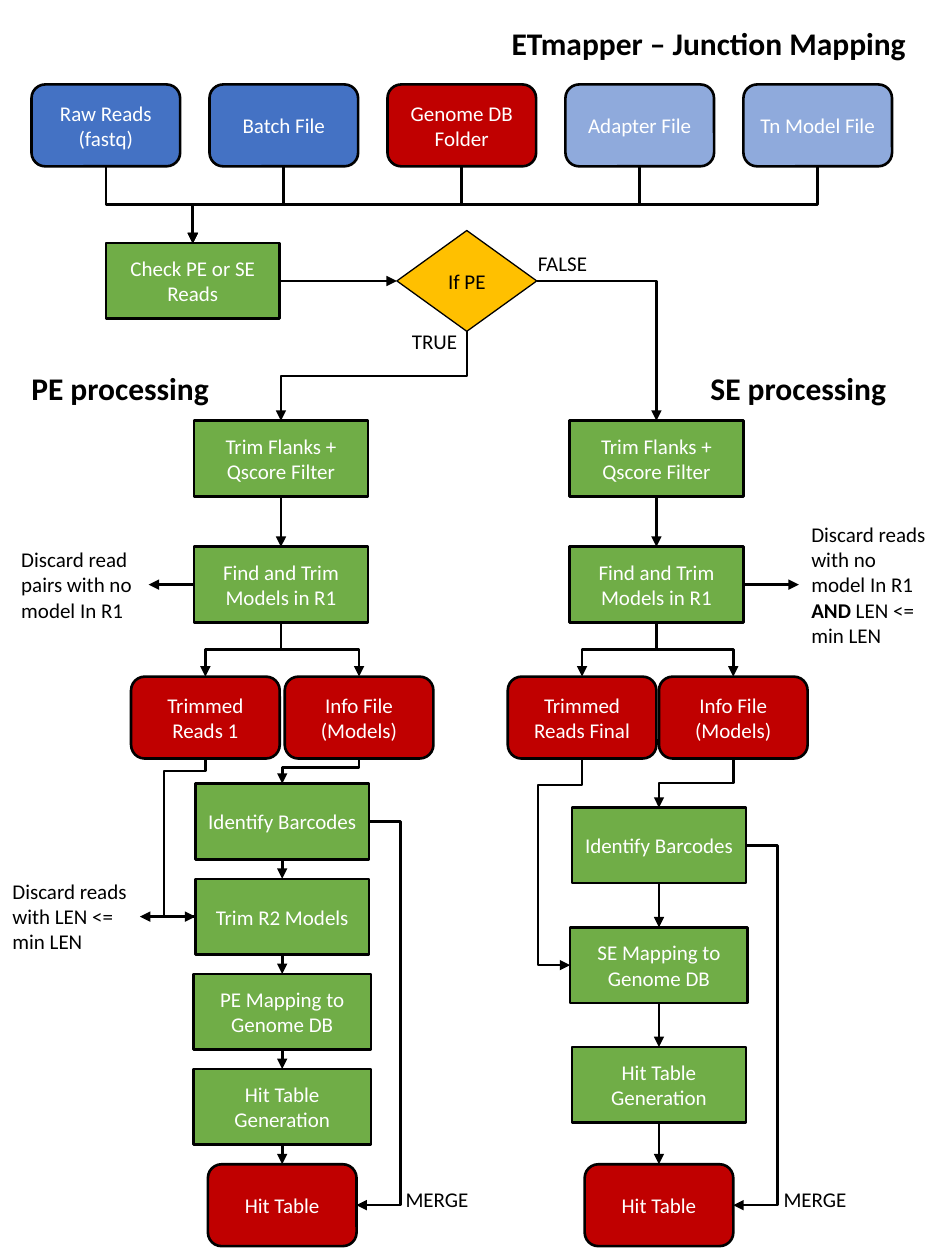
from lxml import etree
from pptx import Presentation
from pptx import util as u
from pptx.dml.color import RGBColor
from pptx.enum import shapes, text
from pptx.oxml.ns import qn

BLACK = RGBColor(0x00, 0x00, 0x00)
WHITE = RGBColor(0xFF, 0xFF, 0xFF)
BLUE = RGBColor(0x44, 0x72, 0xC4)
PALE_BLUE = RGBColor(0x8F, 0xAA, 0xDC)
RED = RGBColor(0xC0, 0x00, 0x00)
GREEN = RGBColor(0x70, 0xAD, 0x47)
AMBER = RGBColor(0xFF, 0xC0, 0x00)

FONT = "Calibri"
FILE = shapes.MSO_SHAPE.ROUNDED_RECTANGLE
STEP = shapes.MSO_SHAPE.RECTANGLE
CHOICE = shapes.MSO_SHAPE.DIAMOND
SIZES = {FILE: (1.18, 0.65), STEP: (1.38, 0.6), CHOICE: (1.11, 0.8)}
WIDE = 1.41

# Column centres and shared row tops, in inches
PE, PE_LOW, SE, SE_LOW = 2.23, 2.24, 5.21, 5.23
INPUT_ROW, TRIM_ROW, FIND_ROW, OUTPUT_ROW, HIT_ROW = 0.67, 3.34, 4.34, 5.37, 9.24
INPUT_LEFT, INPUT_PITCH = 0.84, 1.4125
PE_LOW_TOP, PE_LOW_PITCH = 6.22, 0.755
SE_LOW_TOP, SE_LOW_PITCH = 6.41, 0.95

presentation = Presentation()
presentation.slide_width = u.Inches(7.5)
presentation.slide_height = u.Inches(10)
slide = presentation.slides.add_slide(presentation.slide_layouts[5])
ports = {}


def add_ports(name, left, top, width, height):
    """Record the middle of each side of a box, in inches."""
    middle, centre = top + height / 2, left + width / 2
    ports[name, "left"] = (left, middle)
    ports[name, "right"] = (left + width, middle)
    ports[name, "top"] = (centre, top)
    ports[name, "bottom"] = (centre, top + height)


def add_arrow(start, end, *bends):
    """Join two ports, turning at the given positions or else halfway."""
    (x1, y1), (x2, y2) = ports[start], ports[end]
    width, height = x2 - x1, y2 - y1
    straight = min(abs(width), abs(height)) < 0.03
    downward = start[1] == "bottom" and not straight
    if straight:
        if abs(width) < abs(height):
            x2 = x1
        else:
            y2 = y1
    if downward:
        # A path that leaves downward is a sideways elbow turned by 90 degrees
        x, y = (x1 + x2) / 2, (y1 + y2) / 2
        x1, x2 = x - height / 2, x + height / 2
        y1, y2 = y + width / 2, y - width / 2
        if not bends:
            bends = (y,)
    kind = shapes.MSO_CONNECTOR.STRAIGHT if straight else shapes.MSO_CONNECTOR.ELBOW
    connector = slide.shapes.add_connector(kind, *map(u.Inches, (x1, y1, x2, y2)))
    connector.line.color.rgb = BLACK
    connector.line.width = u.Pt(1.5)
    properties = connector.element.spPr
    etree.SubElement(properties.find(qn("a:ln")), qn("a:tailEnd"), type="triangle")
    etree.SubElement(properties, qn("a:effectLst"))
    if straight:
        return
    if downward:
        properties.find(qn("a:xfrm")).set("rot", "5400000")
    geometry = properties.find(qn("a:prstGeom"))
    geometry.set("prst", f"bentConnector{len(bends) + 2}")
    adjustments = geometry.get_or_add_avLst()
    for index, bend in enumerate(bends):
        axis = (index + downward) % 2
        share = (bend - ports[start][axis]) / (width, height)[axis]
        etree.SubElement(adjustments, qn("a:gd"), name=f"adj{index + 1}",
                         fmla=f"val {round(share * 100000)}")


# Boxes: name, wording, outline, fill, centre, top, optional width
boxes = [
    ("check", "Check PE or SE Reads", STEP, GREEN, 1.53, 1.93),
    ("choice", "If PE", CHOICE, AMBER, 3.705, 1.83),
    ("PE reads", "Trimmed Reads 1", FILE, RED, 1.63, OUTPUT_ROW),
    ("PE info", "Info File (Models)", FILE, RED, 2.85, OUTPUT_ROW),
    ("SE reads", "Trimmed Reads Final", FILE, RED, 4.62, OUTPUT_ROW),
    ("SE info", "Info File (Models)", FILE, RED, 5.82, OUTPUT_ROW),
    ("PE barcodes", "Identify Barcodes", STEP, GREEN, PE_LOW, PE_LOW_TOP),
    ("PE models", "Trim R2 Models", STEP, GREEN, PE_LOW, PE_LOW_TOP + PE_LOW_PITCH),
    ("PE mapping", "PE Mapping to Genome DB", STEP, GREEN, PE_LOW,
     PE_LOW_TOP + 2 * PE_LOW_PITCH, WIDE),
    ("PE table", "Hit Table Generation", STEP, GREEN, PE_LOW,
     PE_LOW_TOP + 3 * PE_LOW_PITCH, WIDE),
    ("SE barcodes", "Identify Barcodes", STEP, GREEN, SE_LOW, SE_LOW_TOP),
    ("SE mapping", "SE Mapping to Genome DB", STEP, GREEN, SE_LOW,
     SE_LOW_TOP + SE_LOW_PITCH, WIDE),
    ("SE table", "Hit Table Generation", STEP, GREEN, SE_LOW,
     SE_LOW_TOP + 2 * SE_LOW_PITCH),
]
inputs = [("Raw Reads (fastq)", BLUE), ("Batch File", BLUE), ("Genome DB Folder", RED),
          ("Adapter File", PALE_BLUE), ("Tn Model File", PALE_BLUE)]
for column, (wording, fill) in enumerate(inputs):
    boxes.append((wording, wording, FILE, fill,
                  INPUT_LEFT + column * INPUT_PITCH, INPUT_ROW))
for lane, centre, low_centre in (("PE", PE, PE_LOW), ("SE", SE, SE_LOW)):
    boxes += [
        (f"{lane} trim", "Trim Flanks + Qscore Filter", STEP, GREEN, centre, TRIM_ROW),
        (f"{lane} find", "Find and Trim Models in R1", STEP, GREEN, centre, FIND_ROW),
        (f"{lane} hits", "Hit Table", FILE, RED, low_centre, HIT_ROW),
    ]

for name, wording, outline, fill, centre, top, *custom_width in boxes:
    width, height = SIZES[outline]
    width = custom_width[0] if custom_width else width
    area = (centre - width / 2, top, width, height)
    add_ports(name, *area)
    shape = slide.shapes.add_shape(outline, *map(u.Inches, area))
    shape.shadow.inherit = False
    shape.fill.solid()
    shape.fill.fore_color.rgb = fill
    shape.line.color.rgb = BLACK
    shape.line.width = u.Pt(0 if outline == CHOICE else 1.5)
    shape.text_frame.text = wording
    shape.text_frame.vertical_anchor = text.MSO_ANCHOR.MIDDLE
    paragraph = shape.text_frame.paragraphs[0]
    paragraph.alignment = text.PP_ALIGN.CENTER
    paragraph.font.name = FONT
    paragraph.font.size = u.Pt(12)
    paragraph.font.color.rgb = BLACK if outline == CHOICE else WHITE

# Labels: wording with bold parts between bars, area, size, wrapping
labels = [
    ("title", "|ETmapper – Junction Mapping", (3.96, 0.14, 3.36, 0.4), 18, False),
    ("PE heading", "|PE processing", (0.15, 2.88, 1.62, 0.4), 18, False),
    ("SE heading", "|SE processing", (5.54, 2.88, 1.6, 0.4), 18, False),
    ("true", "TRUE", (3.17, 2.56, 0.57, 0.3), 12, False),
    ("false", "FALSE", (4.17, 1.94, 0.6, 0.3), 12, False),
    ("PE merge", "MERGE", (3.12, 9.37, 0.71, 0.3), 12, False),
    ("SE merge", "MERGE", (6.12, 9.37, 0.71, 0.3), 12, False),
    ("PE discard", "Discard read pairs with no model In R1",
     (0.07, 4.29, 1.11, 0.71), 12, True),
    ("SE discard", "Discard reads with no model In R1 |AND| LEN <= min LEN",
     (6.34, 4.09, 1.11, 1.11), 12, True),
    ("short discard", "Discard reads with LEN <= min LEN",
     (0, 6.92, 1.11, 0.71), 12, True),
]
for name, wording, area, size, wrap in labels:
    add_ports(name, *area)
    left, top, width, height = map(u.Inches, area)
    if name == "title":
        shape = slide.shapes.title
        shape.left, shape.top, shape.width, shape.height = left, top, width, height
    else:
        shape = slide.shapes.add_textbox(left, top, width, height)
    frame = shape.text_frame
    frame.word_wrap = wrap
    frame.auto_size = text.MSO_AUTO_SIZE.SHAPE_TO_FIT_TEXT
    frame.vertical_anchor = text.MSO_ANCHOR.TOP
    paragraph = frame.paragraphs[0]
    paragraph.alignment = text.PP_ALIGN.LEFT
    paragraph.font.name = FONT
    paragraph.font.size = u.Pt(size)
    paragraph.font.color.rgb = BLACK
    for index, part in enumerate(wording.split("|")):
        if part:
            run = paragraph.add_run()
            run.text = part
            run.font.bold = index % 2 == 1

for wording, fill in inputs:
    add_arrow((wording, "bottom"), ("check", "top"))
add_arrow(("check", "right"), ("choice", "left"))
add_arrow(("choice", "bottom"), ("PE trim", "top"))
add_arrow(("choice", "right"), ("SE trim", "top"))
add_arrow(("PE find", "left"), ("PE discard", "right"))
add_arrow(("SE find", "right"), ("SE discard", "left"))
add_arrow(("PE models", "left"), ("short discard", "right"))
add_arrow(("PE reads", "bottom"), ("PE models", "left"), 6.12, 1.3)
add_arrow(("SE reads", "bottom"), ("SE mapping", "left"), 6.23, 4.27)
add_arrow(("PE info", "bottom"), ("PE barcodes", "top"), 6.09)
add_arrow(("SE info", "bottom"), ("SE barcodes", "top"))
add_arrow(("PE barcodes", "right"), ("PE hits", "right"), 3.18)
add_arrow(("SE barcodes", "right"), ("SE hits", "right"), 6.17)
add_arrow(("PE barcodes", "bottom"), ("PE models", "top"))
add_arrow(("PE models", "bottom"), ("PE mapping", "top"))
add_arrow(("SE barcodes", "bottom"), ("SE mapping", "top"))
for lane in ("PE", "SE"):
    for upper, lower in (("trim", "find"), ("find", "reads"), ("find", "info"),
                         ("mapping", "table"), ("table", "hits")):
        add_arrow((f"{lane} {upper}", "bottom"), (f"{lane} {lower}", "top"))

presentation.save("out.pptx")
